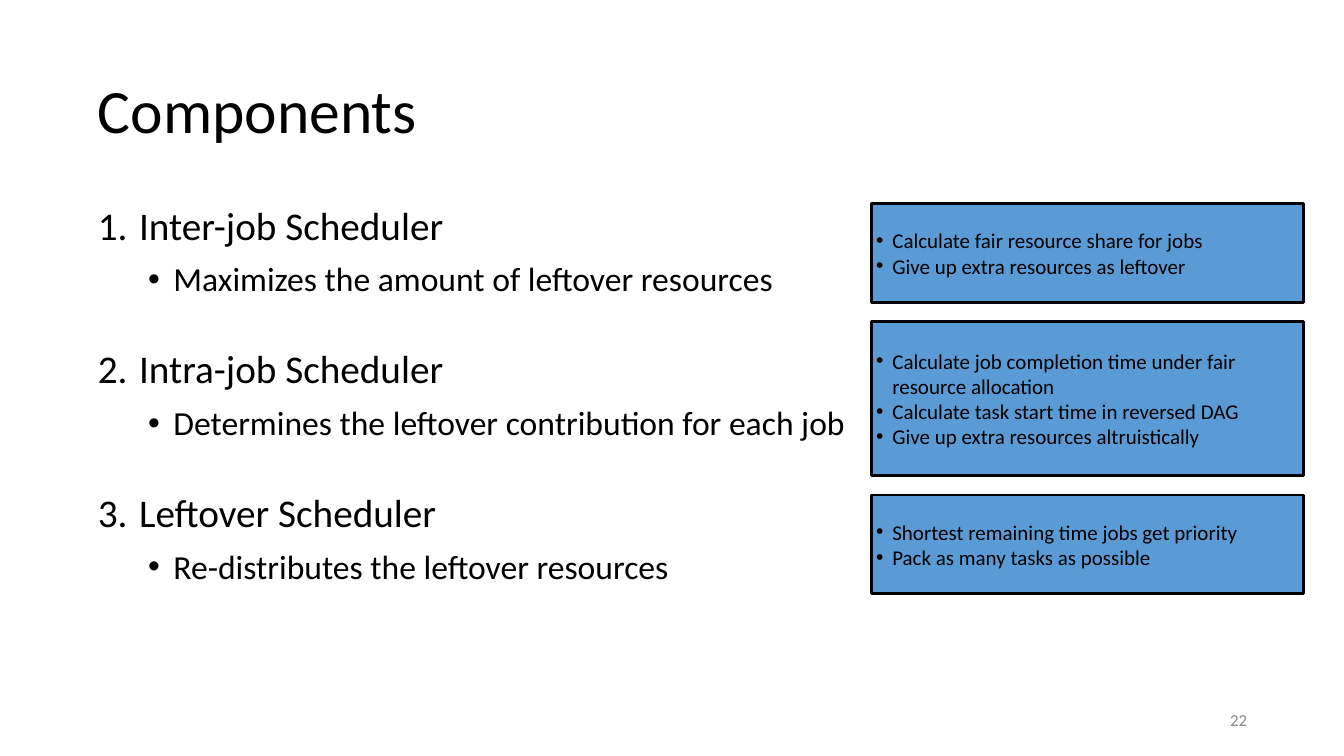
from lxml import etree
from pptx import Presentation
from pptx.dml.color import RGBColor
from pptx.enum.shapes import MSO_SHAPE
from pptx.enum.text import MSO_ANCHOR, PP_ALIGN
from pptx.oxml.ns import qn
from pptx.util import Inches, Pt

RECT = MSO_SHAPE.RECTANGLE
TOP, MIDDLE = MSO_ANCHOR.TOP, MSO_ANCHOR.MIDDLE
LEFT, RIGHT = PP_ALIGN.LEFT, PP_ALIGN.RIGHT

# Content
TITLE = "Components"
PAGE = "22"
PARTS = [
    ("Inter-job Scheduler", "Maximizes the amount of leftover resources"),
    ("Intra-job Scheduler", "Determines the leftover contribution for each job"),
    ("Leftover Scheduler", "Re-distributes the leftover resources"),
]
NOTES = [  # height of the box, its points
    (0.98, ["Calculate fair resource share for jobs",
            "Give up extra resources as leftover"]),
    (1.53, ["Calculate job completion time under fair resource allocation",
            "Calculate task start time in reversed DAG",
            "Give up extra resources altruistically"]),
    (0.98, ["Shortest remaining time jobs get priority",
            "Pack as many tasks as possible"]),
]

# Theme
THEME = {
    "font": "Calibri",
    "ink": RGBColor(0x00, 0x00, 0x00),
    "grey": RGBColor(0x88, 0x88, 0x88),
    "blue": RGBColor(0x5B, 0x9B, 0xD5),
    "title": 44, "head": 28, "sub": 24, "note": 15, "page": 12,
}

# Layout
NOTE_X, NOTE_Y, NOTE_W, NOTE_GAP = 8.64, 2.02, 4.29, 0.19
SPACE, BREAK = 10, 36.4  # points above a line, above a new part


def set_frame(shape, anchor, wrap=True):
    frame = shape.text_frame
    frame.word_wrap = wrap
    frame.vertical_anchor = anchor
    frame.margin_left = frame.margin_right = Inches(0.05)
    frame.margin_top = frame.margin_bottom = Inches(0.05)
    return frame


def add_box(slide, x, y, w, h, anchor, wrap=True):
    box = slide.shapes.add_textbox(Inches(x), Inches(y), Inches(w), Inches(h))
    return set_frame(box, anchor, wrap)


def add_line(frame, text, size, color="ink", align=LEFT, lines=1.0, above=0):
    first = frame.paragraphs[0]
    para = frame.add_paragraph() if first.runs else first
    para.alignment = align
    para.line_spacing = lines
    para.space_before = Pt(above)
    run = para.add_run()
    run.text = text
    run.font.name = THEME["font"]
    run.font.size = Pt(THEME[size])
    run.font.color.rgb = THEME[color]
    return para


def add_mark(para, left, hang, number=False):
    props = para._p.get_or_add_pPr()
    props.set("marL", str(Inches(left)))
    props.set("indent", str(-Inches(hang)))
    font = etree.SubElement(props, qn("a:buFont"))
    font.set("typeface", THEME["font"] if number else "Arial")
    if number:
        etree.SubElement(props, qn("a:buAutoNum")).set("type", "arabicPeriod")
    else:
        etree.SubElement(props, qn("a:buChar")).set("char", "•")


deck = Presentation()
deck.slide_width, deck.slide_height = Inches(13.33), Inches(7.5)
slide = deck.slides.add_slide(deck.slide_layouts[6])

# Title
add_line(add_box(slide, 0.92, 0.4, 11.5, 1.45, MIDDLE), TITLE, "title", lines=0.9)

# Numbered parts
body = add_box(slide, 0.92, 2, 7.51, 4.76, TOP)
for i, (head, sub) in enumerate(PARTS):
    para = add_line(body, head, "head", lines=0.9, above=BREAK if i else SPACE)
    add_mark(para, 0.41, 0.41, number=True)
    para = add_line(body, sub, "sub", lines=0.9, above=SPACE)
    para.level = 1
    add_mark(para, 0.75, 0.25)

# Note boxes
y = NOTE_Y
for h, points in NOTES:
    note = slide.shapes.add_shape(
        RECT, Inches(NOTE_X), Inches(y), Inches(NOTE_W), Inches(h))
    note.shadow.inherit = False
    note.fill.solid()
    note.fill.fore_color.rgb = THEME["blue"]
    note.line.color.rgb = THEME["ink"]
    note.line.width = Pt(2)
    frame = set_frame(note, MIDDLE)
    for point in points:
        add_mark(add_line(frame, point, "note"), 0.16, 0.16)
    y += h + NOTE_GAP

# Page number
add_line(add_box(slide, 12.14, 7, 0.28, 0.29, MIDDLE, wrap=False),
         PAGE, "page", "grey", RIGHT)

deck.save("out.pptx")
